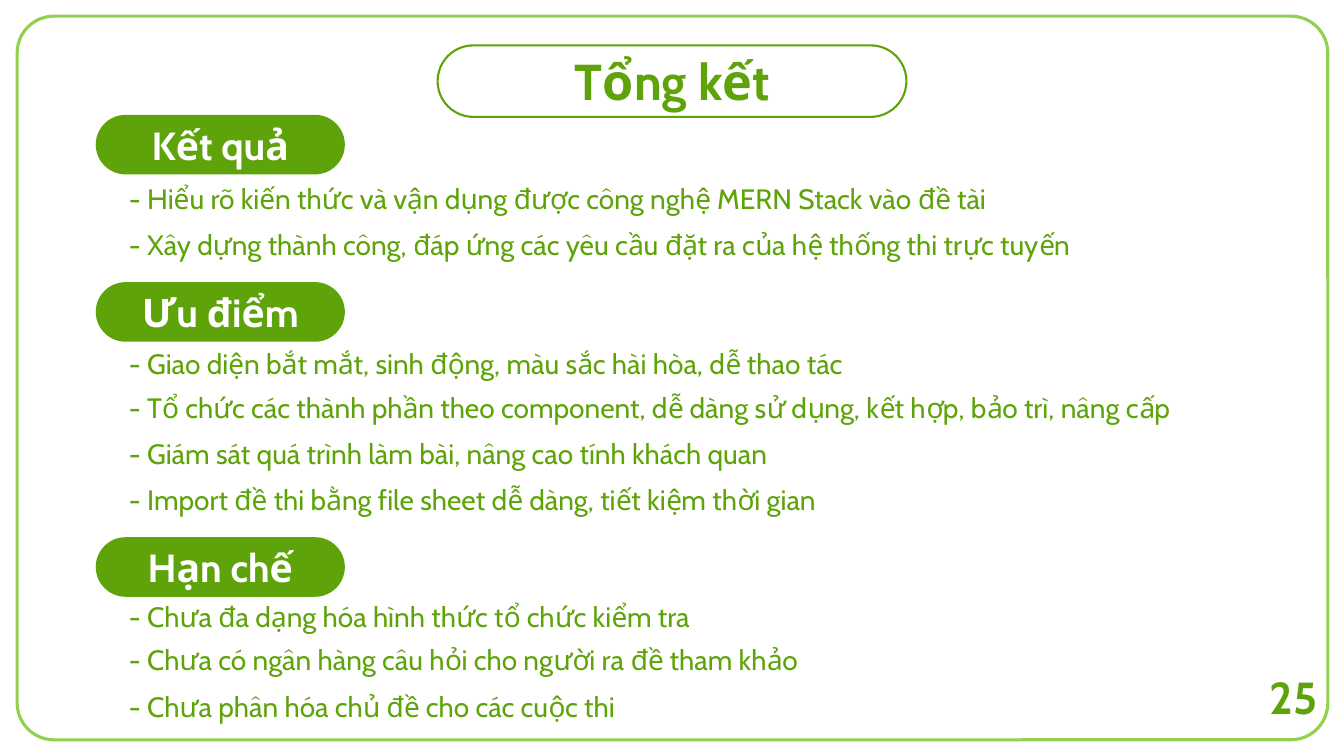
from pptx import Presentation
from pptx.dml.color import RGBColor
from pptx.enum.shapes import MSO_SHAPE
from pptx.enum.text import MSO_AUTO_SIZE, PP_ALIGN
from pptx.util import Inches, Pt

COLORS = {"green": "5EA309", "light": "92D050", "white": "FFFFFF"}
FONT = "Cabin"
ROW_PITCH = 0.46

# heading, heading top, first row top, second row top, rows
SECTIONS = [
    ("Kết quả", 1.15, 1.75, 2.21, [
        "- Hiểu rõ kiến thức và vận dụng được công nghệ MERN Stack vào đề tài",
        "- Xây dựng thành công, đáp ứng các yêu cầu đặt ra của hệ thống thi trực tuyến",
    ]),
    ("Ưu điểm", 2.81, 3.39, 3.82, [
        "- Giao diện bắt mắt, sinh động, màu sắc hài hòa, dễ thao tác",
        "- Tổ chức các thành phần theo component, dễ dàng sử dụng, kết hợp, bảo trì, nâng cấp",
        "- Giám sát quá trình làm bài, nâng cao tính khách quan",
        "- Import đề thi bằng file sheet dễ dàng, tiết kiệm thời gian",
    ]),
    ("Hạn chế", 5.34, 5.9, 6.33, [
        "- Chưa đa dạng hóa hình thức tổ chức kiểm tra",
        "- Chưa có ngân hàng câu hỏi cho người ra đề tham khảo",
        "- Chưa phân hóa chủ đề cho các cuộc thi",
    ]),
]


def rgb(name):
    return RGBColor.from_string(COLORS[name])


class SlideBuilder:
    def __init__(self, s):
        self.s = s

    def rounded(self, box, line, width=1.5, fill=None, radius=0.5, shapes=None):
        shapes = shapes or self.s.shapes
        sp = shapes.add_shape(MSO_SHAPE.ROUNDED_RECTANGLE, *map(Inches, box))
        sp.adjustments[0] = radius
        sp.shadow.inherit = False
        if fill:
            sp.fill.solid()
            sp.fill.fore_color.rgb = rgb(fill)
        else:
            sp.fill.background()
        sp.line.color.rgb = rgb(line)
        sp.line.width = Pt(width)

    def text(self, text, box, size=20, color="green", bold=False,
             align=PP_ALIGN.LEFT, wrap=True, shapes=None):
        shapes = shapes or self.s.shapes
        tf = shapes.add_textbox(*map(Inches, box)).text_frame
        tf.word_wrap = wrap
        tf.auto_size = MSO_AUTO_SIZE.SHAPE_TO_FIT_TEXT
        p = tf.paragraphs[0]
        p.alignment = align
        r = p.add_run()
        r.text = text
        r.font.name = FONT
        r.font.size = Pt(size)
        r.font.bold = bold
        r.font.color.rgb = rgb(color)

    def heading(self, text, top):
        """Group a filled pill with its label."""
        shapes = self.s.shapes.add_group_shape().shapes
        box = (0.96, top, 2.45, 0.57)
        self.rounded(box, "green", fill="green", shapes=shapes)
        self.text(text, box, 28, "white", True, PP_ALIGN.CENTER, shapes=shapes)

    def section(self, title, top, first, second, rows):
        self.heading(title, top)
        for i, row in enumerate(rows):
            y = second + (i - 1) * ROW_PITCH if i else first
            self.text(row, (1.18, y, 11.98, 0.44))


def main():
    prs = Presentation()
    prs.slide_width, prs.slide_height = Inches(13.33), Inches(7.5)
    slide = SlideBuilder(prs.slides.add_slide(prs.slide_layouts[6]))

    slide.rounded((0.17, 0.16, 13, 7.18), "light", 2.25, radius=0.051)
    slide.rounded((4.34, 0.45, 4.65, 0.71), "green")
    slide.text("Tổng kết", (4.03, 0.45, 5.28, 0.71), 36, bold=True,
               align=PP_ALIGN.CENTER)
    for section in SECTIONS:
        slide.section(*section)
    slide.text("25", (12.47, 6.59, 0.72, 0.64), 32, bold=True,
               align=PP_ALIGN.CENTER, wrap=False)
    prs.save("out.pptx")


if __name__ == "__main__":
    main()
